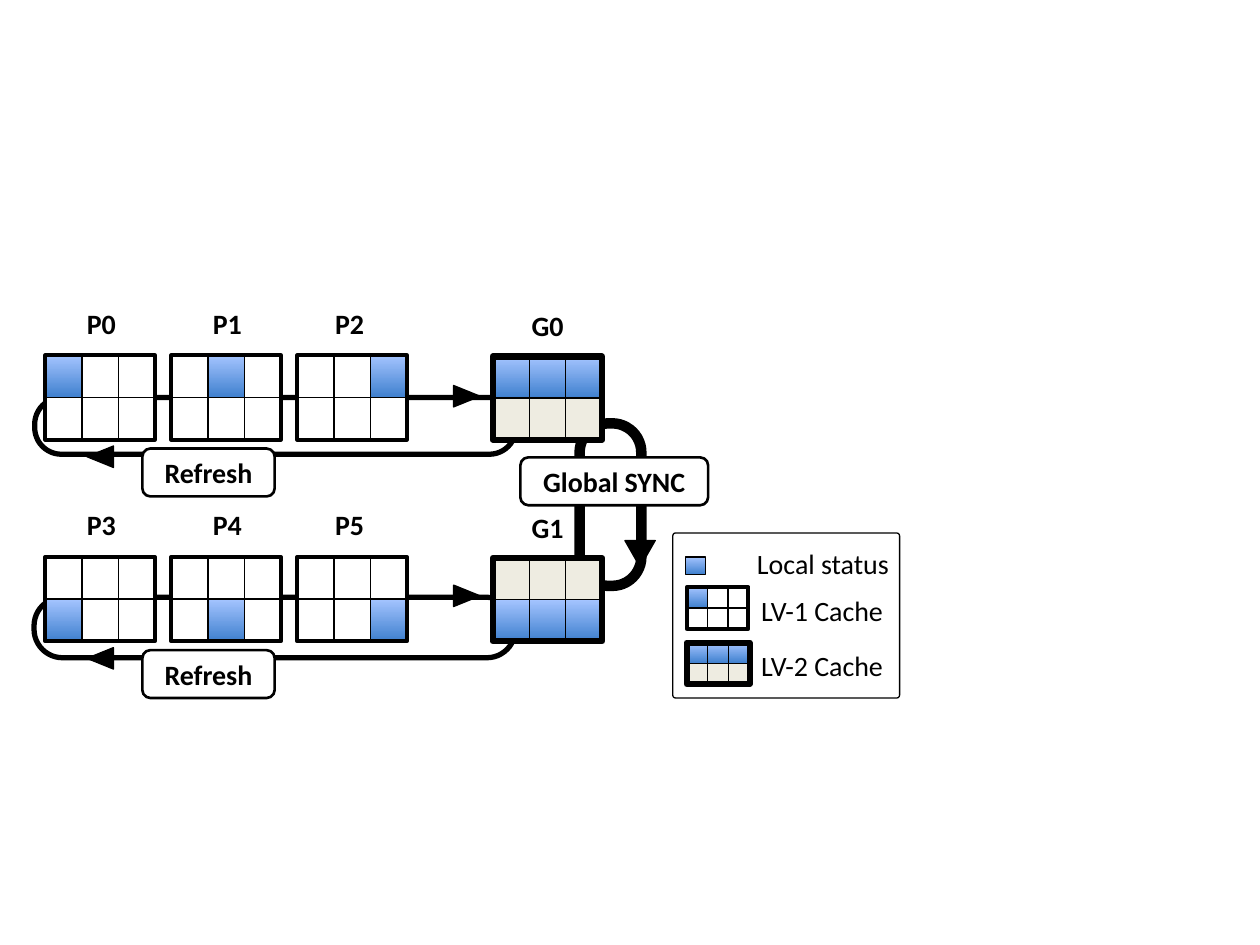
from pptx import Presentation
from pptx.dml.color import RGBColor
from pptx.enum.shapes import MSO_SHAPE
from pptx.enum.text import MSO_ANCHOR, PP_ALIGN
from pptx.util import Inches, Pt

BLACK, WHITE, BEIGE = "000000", "FFFFFF", "EEECE1"
LOCAL = ("3F80CE", "A4C4FF")  # gradient, bottom to top
ROW_PITCH = 1.6


def color(hex_value):
    """Turn a hex string into a colour."""
    return RGBColor.from_string(hex_value)


def add_box(slide, kind, box, fill=None, line=0.75, rotation=0, corner=None):
    """Add a black-lined preset shape; fill is None, a hex string or a gradient."""
    shape = slide.shapes.add_shape(kind, *(Inches(v) for v in box))
    shape.shadow.inherit = False
    shape.rotation = rotation
    if corner is not None:
        shape.adjustments[0] = corner
    if fill is None:
        shape.fill.background()
    elif isinstance(fill, tuple):
        shape.fill.gradient()
        shape.fill.gradient_angle = 90
        for stop, hex_value in zip(shape.fill.gradient_stops, fill):
            stop.color.rgb = color(hex_value)
    else:
        shape.fill.solid()
        shape.fill.fore_color.rgb = color(fill)
    shape.line.color.rgb = color(BLACK)
    shape.line.width = Pt(line)
    return shape


def write(shape, text, bold=True, align=PP_ALIGN.CENTER, wrap=False):
    """Put one line of 16 pt text into a shape."""
    frame = shape.text_frame
    frame.word_wrap = wrap
    paragraph = frame.paragraphs[0]
    paragraph.alignment = align
    run = paragraph.add_run()
    run.text = text
    run.font.name = "Calibri"
    run.font.size = Pt(16)
    run.font.bold = bold
    run.font.color.rgb = color(BLACK)


def add_label(slide, text, box, **style):
    """Add a text box."""
    write(slide.shapes.add_textbox(*(Inches(v) for v in box)), text, **style)


def add_tag(slide, text, box, wrap=True):
    """Add a white rounded box that names a loop."""
    tag = add_box(slide, MSO_SHAPE.ROUNDED_RECTANGLE, box, WHITE, 1.5)
    tag.text_frame.vertical_anchor = MSO_ANCHOR.MIDDLE
    write(tag, text, wrap=wrap)


def add_loop(slide, box, line, rotation=0):
    """Add the rounded track that data follows."""
    add_box(slide, MSO_SHAPE.ROUNDED_RECTANGLE, box, None, line, rotation, 0.471)


def add_arrowhead(slide, box, rotation=0):
    """Add a black triangle on a loop."""
    add_box(slide, MSO_SHAPE.ISOSCELES_TRIANGLE, box, BLACK, rotation=rotation)


def add_cache(slide, box, local_cells, other_fill, frame_line):
    """Add a framed cache of 2 rows by 3 columns with its local cells marked."""
    left, top, width, height = box
    cell_w, cell_h = width / 3, height / 2
    for row in range(2):
        for col in range(3):
            fill = LOCAL if (row, col) in local_cells else other_fill
            cell = (left + col * cell_w, top + row * cell_h, cell_w, cell_h)
            add_box(slide, MSO_SHAPE.RECTANGLE, cell, fill)
    add_box(slide, MSO_SHAPE.RECTANGLE, box, None, frame_line)


def add_lv1(slide, box, row, col):
    """Add a level-1 cache with one local cell."""
    add_cache(slide, box, {(row, col)}, WHITE, 2.25)


def add_lv2(slide, box, row):
    """Add a level-2 cache with one local row."""
    add_cache(slide, box, {(row, col) for col in range(3)}, BEIGE, 3.5)


def add_group(slide, row):
    """Add one row: three processes and their group cache."""
    dy = row * ROW_PITCH
    for col, label_left in enumerate((0.56, 1.56, 2.53)):
        add_label(slide, f"P{row * 3 + col}", (label_left, 2.38 + dy, 0.49, 0.42))
        add_lv1(slide, (0.36 + col, 2.82 + dy, 0.87, 0.67), row, col)
    add_label(slide, f"G{row}", (4.09, 2.4 + dy, 0.51, 0.42))
    add_lv2(slide, (3.91, 2.83 + dy, 0.87, 0.66), row)
    add_arrowhead(slide, (0.71, 3.52 + dy, 0.17, 0.21), 270)
    add_arrowhead(slide, (3.62, 3.04 + dy * 0.99, 0.17, 0.21), 90)
    add_tag(slide, "Refresh", (1.13, 3.56 + dy, 1.05, 0.38))


def add_legend(slide):
    """Add the framed key."""
    add_box(slide, MSO_SHAPE.ROUNDED_RECTANGLE, (5.34, 4.23, 1.8, 1.31), corner=0.017)
    add_box(slide, MSO_SHAPE.RECTANGLE, (5.44, 4.42, 0.16, 0.14), LOCAL)
    add_lv1(slide, (5.45, 4.66, 0.49, 0.33), 0, 0)
    add_lv2(slide, (5.45, 5.1, 0.5, 0.33), 0)
    add_label(slide, "Local status", (5.91, 4.29, 1.27, 0.37),
              bold=False, align=PP_ALIGN.LEFT)
    for text, top in (("LV-1 Cache", 4.66), ("LV-2 Cache", 5.1)):
        add_label(slide, text, (5.91, top, 1.23, 0.37), bold=False)


def main():
    """Build the slide."""
    prs = Presentation()
    prs.slide_width, prs.slide_height = Inches(10), Inches(7.5)
    slide = prs.slides.add_slide(prs.slide_layouts[6])
    add_loop(slide, (4.6, 3.36, 0.49, 1.29), 6)
    add_loop(slide, (1.96, 1.47, 0.45, 3.82), 3, 270)
    add_loop(slide, (1.94, 3.07, 0.48, 3.82), 3, 270)
    for row in range(2):
        add_group(slide, row)
    add_arrowhead(slide, (4.5, 3.61, 0.24, 0.21))
    add_arrowhead(slide, (4.96, 4.29, 0.24, 0.21), 180)
    add_tag(slide, "Global SYNC", (4.13, 3.63, 1.49, 0.38), wrap=False)
    add_legend(slide)
    prs.save("out.pptx")


main()
